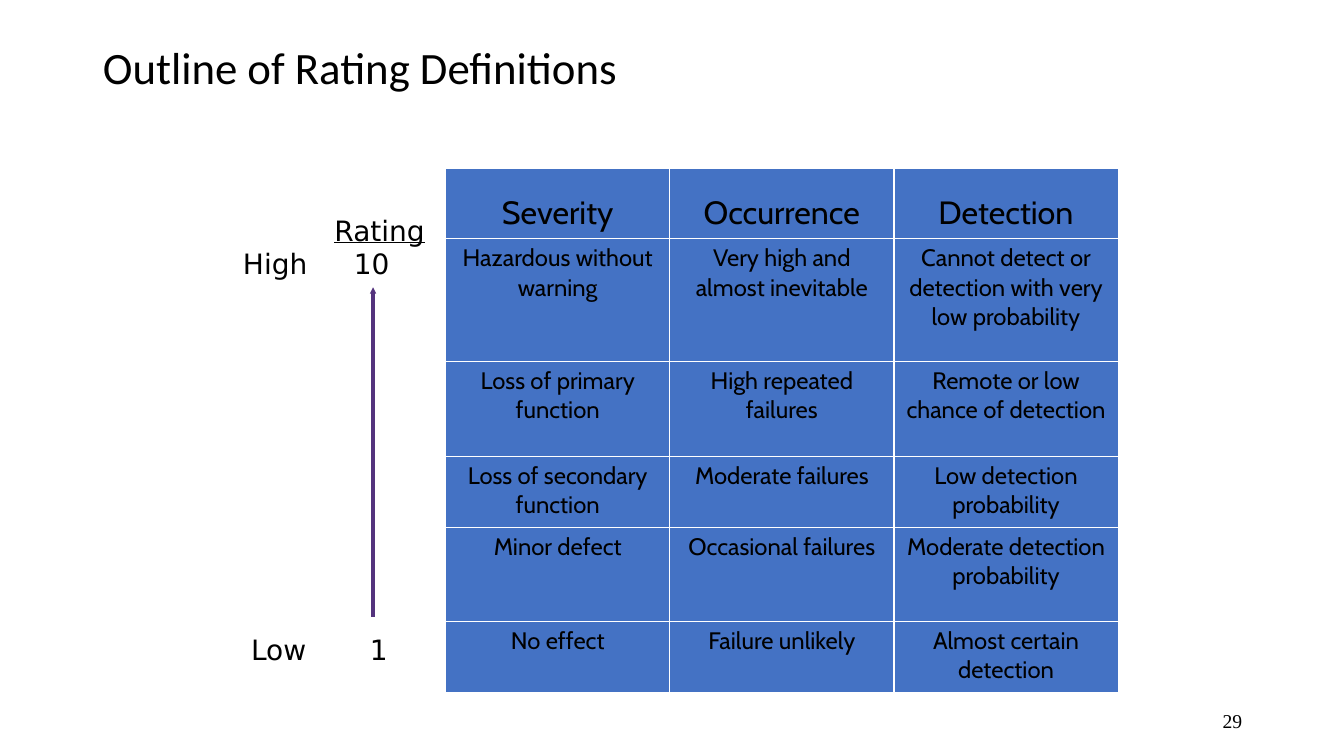
from dataclasses import dataclass
from typing import Any

from lxml.etree import SubElement
from pptx import Presentation
from pptx.dml.color import RGBColor
from pptx.enum.shapes import MSO_CONNECTOR
from pptx.enum.text import MSO_ANCHOR, MSO_AUTO_SIZE, PP_ALIGN
from pptx.oxml.ns import qn
from pptx.util import Inches, Pt


@dataclass(frozen=True)
class Theme:
    ink: str = "000000"
    cell: str = "4472C4"
    rule: str = "FFFFFF"
    arrow: str = "54337D"
    sans: str = "DejaVu Sans"
    serif: str = "Times New Roman"
    head: str = "Calibri"
    grid: str = "Cabin"
    title: int = 32
    top: int = 23
    label: int = 20
    body: int = 17
    page: int = 14


@dataclass(frozen=True)
class Box:
    col: float
    row: float
    wide: float
    high: float


@dataclass(frozen=True)
class Label:
    words: str
    box: Box
    space: float = 0.9
    inset: float = 0
    stop: float = 0
    align: PP_ALIGN = PP_ALIGN.LEFT
    line: bool = False


THEME = Theme()
STEP = 0.1
TITLE = Box(9.2, 4, 115, 14.5)
PAGE = Box(94.2, 69.5, 30, 4)
TABLE = Box(44.2, 16.7, 66.7, 52)
ROWS = [7, 12.2, 9.4, 7, 9.4, 7]
CELLS = [
    ["Severity", "Occurrence", "Detection"],
    ["Hazardous without warning", "Very high and almost inevitable",
     "Cannot detect or detection with very low probability"],
    ["Loss of primary function", "High repeated failures",
     "Remote or low chance of detection"],
    ["Loss of secondary function", "Moderate failures",
     "Low detection probability"],
    ["Minor defect", "Occasional failures", "Moderate detection probability"],
    ["No effect", "Failure unlikely", "Almost certain detection"],
]
LABELS = [
    Label("High\t10", Box(24.1, 24.3, 16.7, 4), stop=11),
    Label("Low\t1", Box(24.9, 62.6, 16.7, 4), stop=11.8),
    Label("Rating", Box(31.9, 20, 11.5, 4.6), space=1.2, inset=1,
          align=PP_ALIGN.CENTER, line=True),
]


def span(count: float) -> int:
    return Inches(count * STEP)


def place(box: Box) -> tuple[int, int, int, int]:
    return span(box.col), span(box.row), span(box.wide), span(box.high)


def write(para: Any, words: str, font: str, size: int) -> Any:
    run = para.add_run()
    run.text = words
    run.font.name = font
    run.font.size = Pt(size)
    run.font.color.rgb = RGBColor.from_string(THEME.ink)
    return run


def draw_title(slide: Any) -> None:
    title = slide.shapes.title
    title.left, title.top, title.width, title.height = place(TITLE)
    frame = title.text_frame
    frame.vertical_anchor = MSO_ANCHOR.TOP
    frame.auto_size = MSO_AUTO_SIZE.NONE
    para = frame.paragraphs[0]
    para.alignment = PP_ALIGN.LEFT
    para.line_spacing = 0.9
    write(para, "Outline of Rating Definitions", THEME.head, THEME.title)


def draw_page(slide: Any) -> None:
    frame = slide.shapes.add_textbox(*place(PAGE)).text_frame
    frame.word_wrap = True
    frame.vertical_anchor = MSO_ANCHOR.MIDDLE
    para = frame.paragraphs[0]
    para.alignment = PP_ALIGN.RIGHT
    write(para, "29", THEME.serif, THEME.page)


def draw_label(slide: Any, label: Label) -> None:
    frame = slide.shapes.add_textbox(*place(label.box)).text_frame
    frame.word_wrap = True
    frame.auto_size = MSO_AUTO_SIZE.SHAPE_TO_FIT_TEXT
    frame.margin_left = frame.margin_right = span(label.inset)
    para = frame.paragraphs[0]
    para.alignment = label.align
    para.line_spacing = label.space
    if label.stop:
        tabs = SubElement(para._p.get_or_add_pPr(), qn("a:tabLst"))
        SubElement(tabs, qn("a:tab"), pos=str(span(label.stop)), algn="l")
    run = write(para, label.words, THEME.sans, THEME.label)
    if label.line:
        run.font.underline = True


def draw_cell(cell: Any, words: str, top: bool) -> None:
    props = cell._tc.get_or_add_tcPr()
    for side in ("lnL", "lnR", "lnT", "lnB"):
        edge = SubElement(props, qn(f"a:{side}"), w=str(Pt(1)))
        fill = SubElement(edge, qn("a:solidFill"))
        SubElement(fill, qn("a:srgbClr"), val=THEME.rule)
    cell.fill.solid()
    cell.fill.fore_color.rgb = RGBColor.from_string(THEME.cell)
    para = cell.text_frame.paragraphs[0]
    para.alignment = PP_ALIGN.CENTER
    if top:
        para.line_spacing = 1.5
    gap = SubElement(para._p.get_or_add_pPr(), qn("a:spcBef"))
    SubElement(gap, qn("a:spcPct"), val="20000")
    run = write(para, words, THEME.grid, THEME.top if top else THEME.body)
    run.font.bold = False


def draw_table(slide: Any) -> None:
    table = slide.shapes.add_table(len(CELLS), len(CELLS[0]), *place(TABLE)).table
    for col in table.columns:
        col.width = span(TABLE.wide / len(CELLS[0]))
    for index, (high, line) in enumerate(zip(ROWS, CELLS)):
        table.rows[index].height = span(high)
        for cell, words in zip(table.rows[index].cells, line):
            draw_cell(cell, words, index == 0)


def draw_arrow(slide: Any) -> None:
    arrow = slide.shapes.add_connector(
        MSO_CONNECTOR.STRAIGHT, span(37), span(61.2), span(37), span(28.5))
    arrow.line.color.rgb = RGBColor.from_string(THEME.arrow)
    arrow.line.width = Pt(2.25)
    SubElement(arrow.line._get_or_add_ln(), qn("a:tailEnd"),
               type="triangle", w="sm", len="sm")
    SubElement(arrow._element.spPr, qn("a:effectLst"))


def main() -> None:
    deck = Presentation()
    deck.slide_width = Inches(13.33)
    deck.slide_height = Inches(7.5)
    slide = deck.slides.add_slide(deck.slide_layouts[5])
    draw_title(slide)
    draw_page(slide)
    draw_table(slide)
    draw_arrow(slide)
    for label in LABELS:
        draw_label(slide, label)
    deck.save("out.pptx")


if __name__ == "__main__":
    main()
